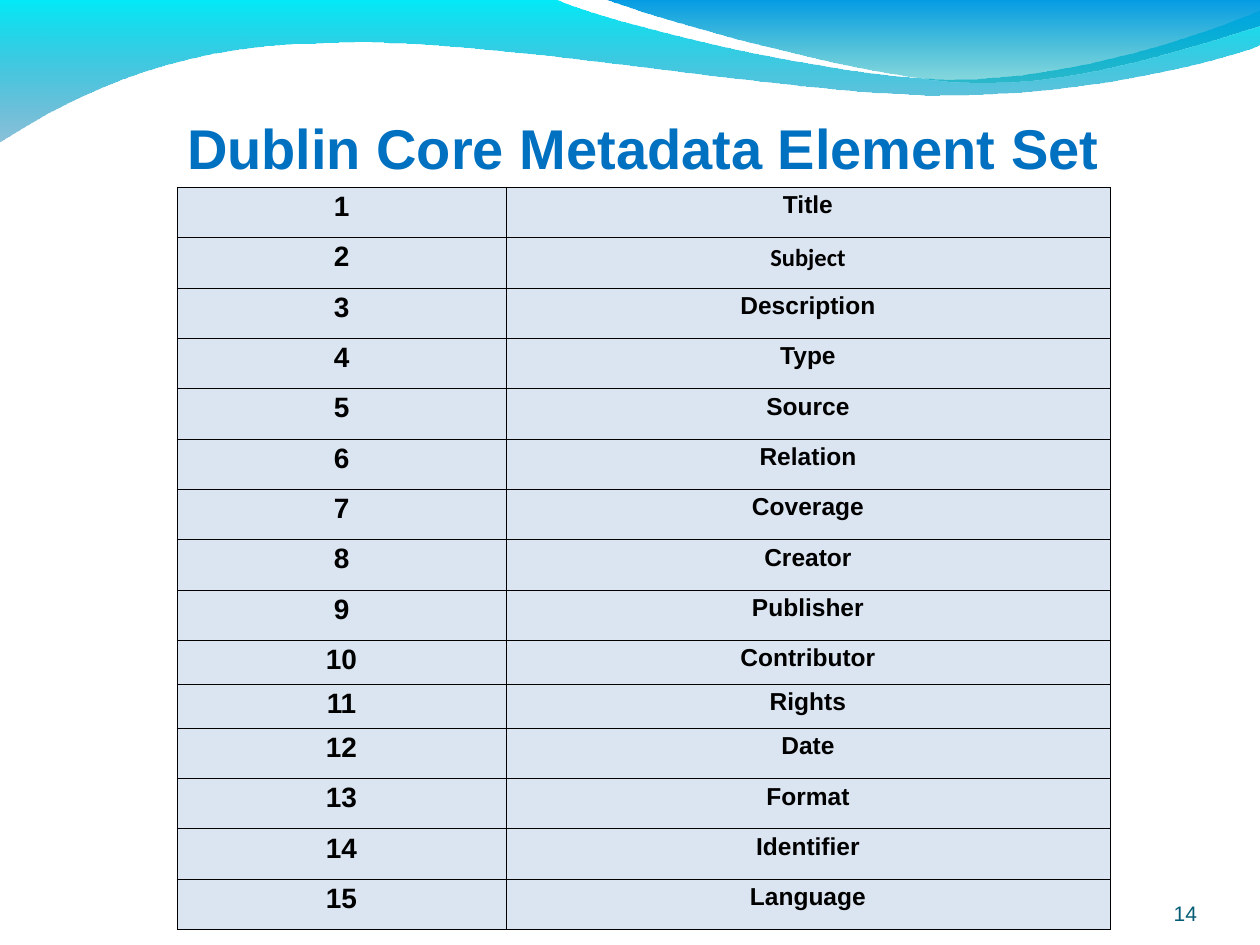
from dataclasses import dataclass

from lxml import etree
from pptx import Presentation
from pptx.dml.color import RGBColor
from pptx.enum.text import MSO_ANCHOR, MSO_AUTO_SIZE, PP_ALIGN
from pptx.oxml.ns import qn
from pptx.util import Pt

LEFT, CENTER, RIGHT = PP_ALIGN.LEFT, PP_ALIGN.CENTER, PP_ALIGN.RIGHT
TOP, BOTTOM = MSO_ANCHOR.TOP, MSO_ANCHOR.BOTTOM
NO_AUTOFIT = MSO_AUTO_SIZE.NONE
TITLE_ONLY = 5
EMU_PER_PX = 914400 / 126


@dataclass(frozen=True)
class Theme:
    font: str = "Arial"
    alt_font: str = "Calibri"
    title: str = "0070C0"
    number: str = "045C75"
    text: str = "000000"
    border: str = "000000"
    cell: str = "DBE5F1"
    wave: tuple = ("00EBF8", "0079AF")
    crest: tuple = ("009BE5", "00ADB6")
    fade_alpha: int = 45000
    title_pt: int = 32
    index_pt: int = 16
    element_pt: int = 14
    number_pt: int = 12
    border_pt: float = 0.23


ELEMENTS = ["Title", "Subject", "Description", "Type", "Source", "Relation",
            "Coverage", "Creator", "Publisher", "Contributor", "Rights",
            "Date", "Format", "Identifier", "Language"]
SPACE_AFTER = {"Source": 0, "Relation": 0, "Creator": 0, "Language": 0, "Rights": 6}
SHORT_ROWS = {"Contributor", "Rights"}
ALT_FONT_ROWS = {"Subject"}

WAVE = [[(0, -1)], [(555, -1)], [(600, 21), (837, 79), (955, 79)],
        [(1075, 79), (1207, 33), (1260, 11)], [(1261, 45)],
        [(1239, 55), (1096, 96), (940, 95)], [(784, 95), (481, 35), (324, 43)],
        [(163, 44), (58, 105), (-1, 142)]]
CREST = [[(604, -1)], [(641, 14), (859, 78), (969, 82)],
         [(1079, 87), (1211, 40), (1260, 26)], [(1260, 0)]]


def px(n):
    return round(n * EMU_PER_PX)


class Deck:
    """Holds the theme and the current slide, and draws each kind of element."""

    def __init__(self, theme, width, height):
        self.theme = theme
        self.prs = Presentation()
        self.prs.slide_width, self.prs.slide_height = px(width), px(height)
        self.s = self.prs.slides.add_slide(self.prs.slide_layouts[TITLE_ONLY])

    def format(self, p, size, color, align, bold=False, font=None):
        p.alignment = align
        for r in p.runs:
            r.font.name = font or self.theme.font
            r.font.size = Pt(size)
            r.font.bold = bold
            r.font.color.rgb = RGBColor.from_string(color)

    def curve(self, sp, outline):
        lines = iter(sp._element.findall(".//" + qn("a:lnTo")))
        for segment in outline[1:]:
            first, *others = [next(lines) for _ in segment]
            if others:
                first.tag = qn("a:cubicBezTo")
            for line in others:
                first.append(line[0])
                line.getparent().remove(line)

    def wave(self, outline, colors):
        points = [(px(x), px(y)) for segment in outline for x, y in segment]
        builder = self.s.shapes.build_freeform(*points[0], scale=1.0)
        builder.add_line_segments(points[1:], close=True)
        sp = builder.convert_to_shape()
        self.curve(sp, outline)
        sp.shadow.inherit = False
        sp.line.fill.background()
        sp.fill.gradient()
        sp.fill.gradient_angle = 270
        for stop, color, position in zip(sp.fill.gradient_stops, colors, (0, 1)):
            stop.color.rgb = RGBColor.from_string(color)
            stop.position = position
        faded = sp._element.spPr.findall(".//" + qn("a:srgbClr"))[-1]
        etree.SubElement(faded, qn("a:alpha"), val=str(self.theme.fade_alpha))

    def title(self, text, x, y, w, h, indent):
        sp = self.s.shapes.title
        sp.left, sp.top, sp.width, sp.height = px(x), px(y), px(w), px(h)
        tf = sp.text_frame
        tf.text = text
        tf.word_wrap = True
        tf.auto_size = NO_AUTOFIT
        tf.vertical_anchor = TOP
        tf.margin_left = px(indent)
        self.format(tf.paragraphs[0], self.theme.title_pt, self.theme.title, LEFT, True)

    def slide_number(self, text, x, y, w, h):
        tf = self.s.shapes.add_textbox(px(x), px(y), px(w), px(h)).text_frame
        tf.text = text
        tf.word_wrap = True
        tf.vertical_anchor = BOTTOM
        tf.margin_left = tf.margin_right = tf.margin_top = tf.margin_bottom = 0
        self.format(tf.paragraphs[0], self.theme.number_pt, self.theme.number, RIGHT)

    def borders(self, cell):
        tcPr = cell._tc.get_or_add_tcPr()
        for side in ("a:lnL", "a:lnR", "a:lnT", "a:lnB"):
            ln = etree.SubElement(tcPr, qn(side), w=str(Pt(self.theme.border_pt)))
            fill = etree.SubElement(ln, qn("a:solidFill"))
            etree.SubElement(fill, qn("a:srgbClr"), val=self.theme.border)

    def cell(self, cell, text, size, after, font):
        self.borders(cell)
        cell.fill.solid()
        cell.fill.fore_color.rgb = RGBColor.from_string(self.theme.cell)
        cell.margin_left = cell.margin_right = px(10)
        cell.text_frame.text = text
        p = cell.text_frame.paragraphs[0]
        p.line_spacing = 0.98 if font == self.theme.alt_font else 0.93
        p.space_after = Pt(after)
        self.format(p, size, self.theme.text, CENTER, True, font)

    def element_table(self, names, x, y, widths, height, short):
        theme = self.theme
        tall = (height - short * len(SHORT_ROWS)) / (len(names) - len(SHORT_ROWS))
        table = self.s.shapes.add_table(len(names), len(widths), px(x), px(y),
                                        px(sum(widths)), px(height)).table
        table.first_row = table.horz_banding = False
        for col, width in zip(table.columns, widths):
            col.width = px(width)
        for i, name in enumerate(names):
            table.rows[i].height = px(short if name in SHORT_ROWS else tall)
            after = SPACE_AFTER.get(name, 10)
            font = theme.alt_font if name in ALT_FONT_ROWS else theme.font
            self.cell(table.cell(i, 0), str(i + 1), theme.index_pt, after, theme.font)
            self.cell(table.cell(i, 1), name, theme.element_pt, after, font)

    def save(self):
        self.prs.save("out.pptx")


def main():
    theme = Theme()
    deck = Deck(theme, 1260, 945)
    deck.wave(WAVE, theme.wave)
    deck.wave(CREST, theme.crest)
    deck.slide_number("14", 1092, 876, 105, 50)
    deck.title("Dublin Core Metadata Element Set", 144, 107, 984, 81, 43)
    deck.element_table(ELEMENTS, 177, 187, (329, 604), 733, 39)
    deck.save()


if __name__ == "__main__":
    main()
